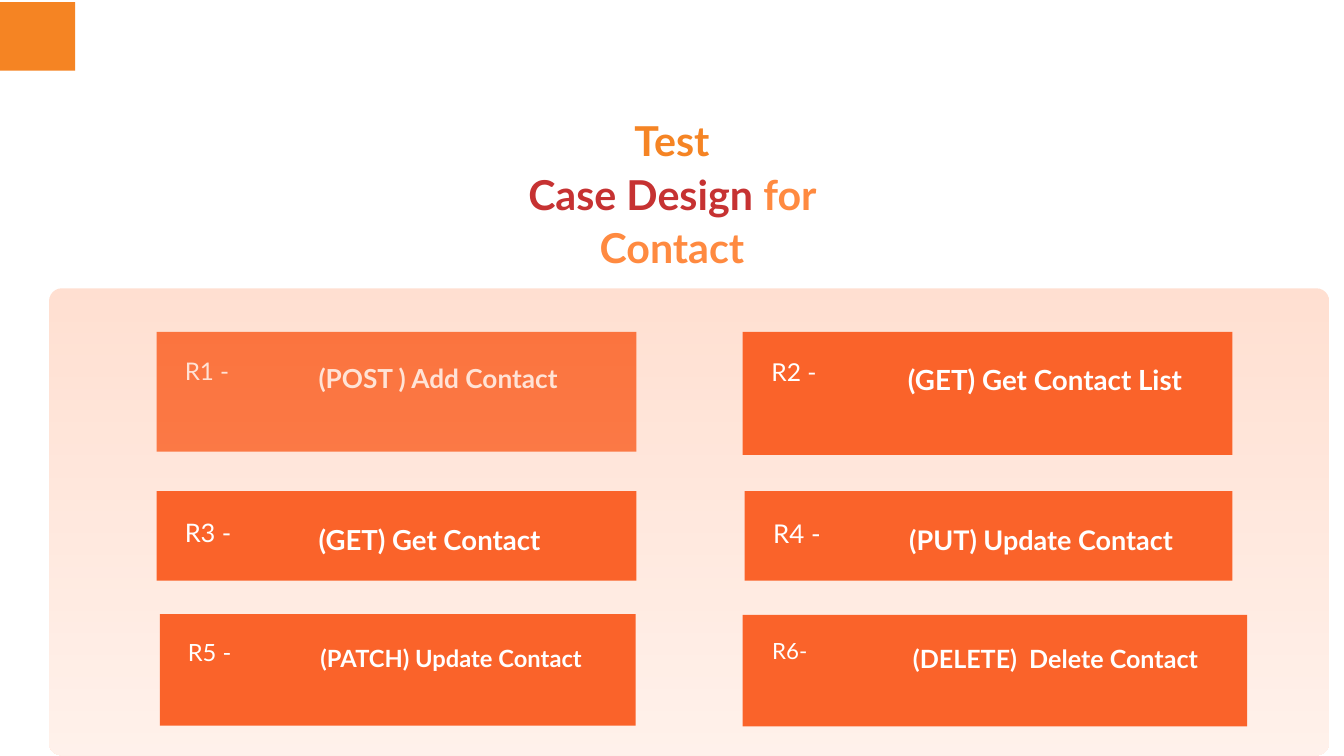
from lxml import etree
from pptx import Presentation
from pptx.dml.color import RGBColor
from pptx.enum.shapes import MSO_SHAPE as Shape
from pptx.enum.text import MSO_ANCHOR as Anchor, MSO_AUTO_SIZE as AutoSize, PP_ALIGN as Align
from pptx.oxml.ns import qn
from pptx.util import Emu, Pt

PX = 9144  # 100 px to the inch
FONT = "Lato"
ORANGE, CARD, WHITE = "F58423", "FA632A", "FFFFFF"

# box, label top inside the box, (label, size), (request, size)
FIRST_CARD = ((233, 494, 714, 178), 33, ("R1 -", 26), ("(POST ) Add Contact", 28.1))
CARDS = [
    ((233, 731, 714, 133), 35, ("R3 -", 27.3), ("(GET) Get Contact", 29.5)),
    ((238, 914, 708, 166), 32, ("R5 -", 25.4), ("(PATCH) Update Contact", 25.4)),
    ((1105, 915, 751, 166), 30, ("R6-", 23.9), ("(DELETE)  Delete Contact", 26.9)),
    ((1108, 731, 726, 133), 36, ("R4 -", 27.7), ("(PUT) Update Contact", 28.9)),
    ((1105, 494, 729, 183), 34, ("R2 -", 26.4), ("(GET) Get Contact List", 29.7)),
]


def px(*lengths):
    return [Emu(round(length * PX)) for length in lengths]


def color(value):
    return RGBColor.from_string(value)


def add_block(page, box, fill=None, kind=Shape.RECTANGLE):
    block = page.shapes.add_shape(kind, *px(*box))
    block.shadow.inherit = False
    block.line.fill.background()
    if fill:
        block.fill.solid()
        block.fill.fore_color.rgb = color(fill)
    return block


def prepare_frame(frame):
    frame.margin_left = frame.margin_top = frame.margin_right = frame.margin_bottom = 0
    frame.word_wrap = True
    frame.auto_size = AutoSize.NONE
    frame.vertical_anchor = Anchor.TOP


def add_span(para, text, size, fill, bold=False):
    para.line_spacing = Pt(round(size * 1.3, 1))
    span = para.add_run()
    span.text = text
    span.font.name, span.font.size, span.font.bold = FONT, Pt(size), bold
    span.font.color.rgb = color(fill)


def add_text(page, box, text, size, bold):
    frame = page.shapes.add_textbox(*px(*box)).text_frame
    prepare_frame(frame)
    add_span(frame.paragraphs[0], text, size, WHITE, bold)


def add_card(page, box, label_top, label, request):
    left, top, width, height = box
    add_block(page, box, CARD)
    add_text(page, (left + width / 17, top + label_top, width / 4, 47), *label, False)
    request_top = label_top + 8
    request_box = (left + width * 27 / 80, top + request_top, width * 0.6, height - request_top - 36)
    add_text(page, request_box, *request, True)


def add_panel(page, box):
    """Translucent rounded panel that fades downwards."""
    panel = add_block(page, box, kind=Shape.ROUNDED_RECTANGLE)
    panel.adjustments[0] = 19 / box[3]
    panel.fill.gradient()
    panel.fill.gradient_angle = 270
    for stop, position, value in zip(panel.fill.gradient_stops, (0, 1), ("FF9869", "FFD2BD")):
        stop.position = position
        stop.color.rgb = color(value)
    for tint in panel.fill._xPr.iter(qn("a:srgbClr")):
        etree.SubElement(tint, qn("a:alpha"), val="30000")


def add_title(page, box):
    title = page.shapes.title
    title.left, title.top, title.width, title.height = px(*box)
    frame = title.text_frame
    prepare_frame(frame)
    lines = [
        [("Test", "F58424")],
        [("Case Design ", "C63232"), ("for Contact", "FF8A40")],
    ]
    for index, spans in enumerate(lines):
        para = frame.add_paragraph() if index else frame.paragraphs[0]
        para.alignment = Align.CENTER
        para.space_before = Pt(0)
        for text, fill in spans:
            add_span(para, text, 44.1, fill, bold=True)


def main():
    deck = Presentation()
    deck.slide_width, deck.slide_height = px(2000, 1125)
    page = deck.slides.add_slide(deck.slide_layouts[5])
    add_title(page, (783, 166, 434, 238))
    add_card(page, *FIRST_CARD)  # lies under the panel, so it looks faded
    add_panel(page, (73, 429, 1905, 695))
    add_block(page, (0, 3, 112, 102), ORANGE)
    for card in CARDS:
        add_card(page, *card)
    deck.save("out.pptx")


if __name__ == "__main__":
    main()
